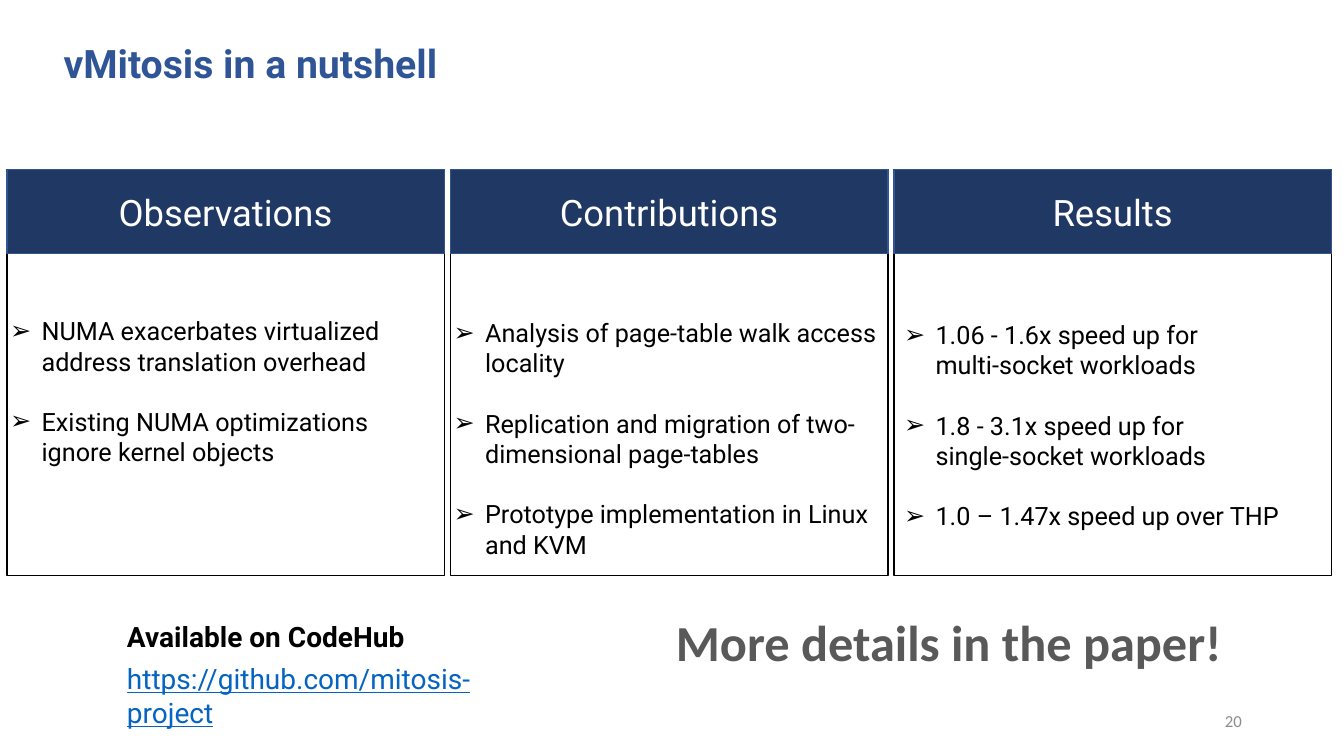
from dataclasses import dataclass
from lxml.etree import SubElement
from pptx import Presentation
from pptx.dml.color import RGBColor
from pptx.enum.shapes import MSO_SHAPE
from pptx.enum.text import MSO_ANCHOR, MSO_AUTO_SIZE, PP_ALIGN
from pptx.oxml.ns import qn
from pptx.util import Pt

# Content: heading, list left, list top, list items
TITLE = "vMitosis in a nutshell"
COLUMNS = [
    ("Observations", 0, 221.8, [
        "NUMA exacerbates virtualized address translation overhead",
        "Existing NUMA optimizations\vignore kernel objects"]),
    ("Contributions", 316.8, 223.2, [
        "Analysis of page-table walk access locality",
        "Replication and migration of two-\vdimensional page-tables",
        "Prototype implementation in Linux and KVM"]),
    ("Results", 638.6, 224.6, [
        "1.06 - 1.6x speed up for\vmulti-socket workloads",
        "1.8 - 3.1x speed up for\vsingle-socket workloads",
        "1.0 – 1.47x speed up over THP"]),
]
SOURCE = "Available on CodeHub"
LINK = "https://github.com/mitosis-project"
CLOSING = "More details in the paper!"
NUMBER = "20"


@dataclass(frozen=True)
class Theme:
    main: str = "Roboto"
    side: str = "Calibri"
    title: str = "2F5597"
    head: str = "203864"
    edge: str = "325491"
    ink: str = "000000"
    white: str = "FFFFFF"
    link: str = "0563C1"
    grey: str = "595959"
    pale: str = "8C8C8C"
    title_size: int = 28
    head_size: int = 26
    list_size: int = 18
    source_size: int = 20
    closing_size: int = 36
    number_size: int = 12


theme = Theme()
LEFT, TOP, STEP = 5, 121, 316.8
WIDTH, HEIGHT, HEAD = 312.5, 290, 60
INDENT, GAP = 22.5, 21.5


def place(shape, x, y, w, h):
    shape.left, shape.top, shape.width, shape.height = map(Pt, (x, y, w, h))


def style(para, size, color, name=theme.main, bold=False):
    font = para.font
    font.name, font.size, font.bold = name, Pt(size), bold
    font.color.rgb = RGBColor.from_string(color)


def setup(frame, anchor=MSO_ANCHOR.TOP, inset=True):
    frame.word_wrap = True
    frame.auto_size = MSO_AUTO_SIZE.NONE
    frame.vertical_anchor = anchor
    if not inset:
        frame.margin_left = frame.margin_right = 0
        frame.margin_top = frame.margin_bottom = 0


def bullet(para):
    props = para._p.get_or_add_pPr()
    props.set("marL", str(Pt(INDENT)))
    props.set("indent", str(-Pt(INDENT)))
    SubElement(props, qn("a:buFont"), typeface="Arial")
    SubElement(props, qn("a:buChar"), char="➢")


def panel(slide, x, height, line, width, fill=None):
    box = slide.shapes.add_shape(
        MSO_SHAPE.RECTANGLE, Pt(x), Pt(TOP), Pt(WIDTH), Pt(height))
    box.shadow.inherit = False
    box.line.color.rgb = RGBColor.from_string(line)
    box.line.width = Pt(width)
    if fill:
        box.fill.solid()
        box.fill.fore_color.rgb = RGBColor.from_string(fill)
    else:
        box.fill.background()
    return box


def fill_list(holder, x, y, items):
    place(holder, x, y, 320 if x > 600 else 334.8, 182)
    frame = holder.text_frame
    setup(frame)
    for i, item in enumerate(items):
        para = frame.add_paragraph() if i else frame.paragraphs[0]
        para.text = item
        bullet(para)
        para.alignment = PP_ALIGN.LEFT
        para.space_before = Pt(GAP if i else 0)
        style(para, theme.list_size, theme.ink)


def label(slide, text, x, y, w, h, align, anchor, **look):
    box = slide.shapes.add_textbox(Pt(x), Pt(y), Pt(w), Pt(h))
    setup(box.text_frame, anchor)
    para = box.text_frame.paragraphs[0]
    para.text, para.alignment = text, align
    style(para, name=theme.side, **look)


def main():
    deck = Presentation()
    deck.slide_width, deck.slide_height = Pt(960), Pt(540)
    slide = deck.slides.add_slide(deck.slide_layouts[4])

    # Title
    title = slide.shapes.title
    place(title, 45.4, 32.4, 866, 30)
    setup(title.text_frame, MSO_ANCHOR.BOTTOM, inset=False)
    para = title.text_frame.paragraphs[0]
    para.text, para.alignment, para.line_spacing = TITLE, PP_ALIGN.LEFT, 0.9
    style(para, theme.title_size, theme.title, bold=True)

    # Three columns
    bodies = {b.placeholder_format.idx: b for b in slide.placeholders}
    holders = [bodies[1], bodies[2], bodies[4]]
    for i, (name, x, y, items) in enumerate(COLUMNS):
        left = LEFT + i * STEP
        panel(slide, left, HEIGHT, theme.ink, 1.25)
        head = panel(slide, left, HEAD, theme.edge, 1, theme.head)
        setup(head.text_frame, MSO_ANCHOR.MIDDLE)
        para = head.text_frame.paragraphs[0]
        para.text, para.alignment = name, PP_ALIGN.CENTER
        style(para, theme.head_size, theme.white)
        fill_list(holders[i], x, y, items)
    spare = bodies[3]._element
    spare.getparent().remove(spare)

    # Source address
    box = slide.shapes.add_textbox(Pt(90.7), Pt(442.8), Pt(294.5), Pt(84))
    frame = box.text_frame
    setup(frame, inset=False)
    first, second = frame.paragraphs[0], frame.add_paragraph()
    first.text, second.text = SOURCE, LINK
    first.space_after = second.space_after = Pt(6)
    style(first, theme.source_size, theme.ink, bold=True)
    style(second, theme.source_size, theme.link)
    second.font.underline = True

    # Slide number and closing line
    label(slide, NUMBER, 678.2, 500.4, 216, 28.8, PP_ALIGN.RIGHT,
          MSO_ANCHOR.MIDDLE, size=theme.number_size, color=theme.pale)
    label(slide, CLOSING, 450, 432.7, 455.8, 51, PP_ALIGN.CENTER,
          MSO_ANCHOR.TOP, size=theme.closing_size, color=theme.grey, bold=True)

    deck.save("out.pptx")


if __name__ == "__main__":
    main()
